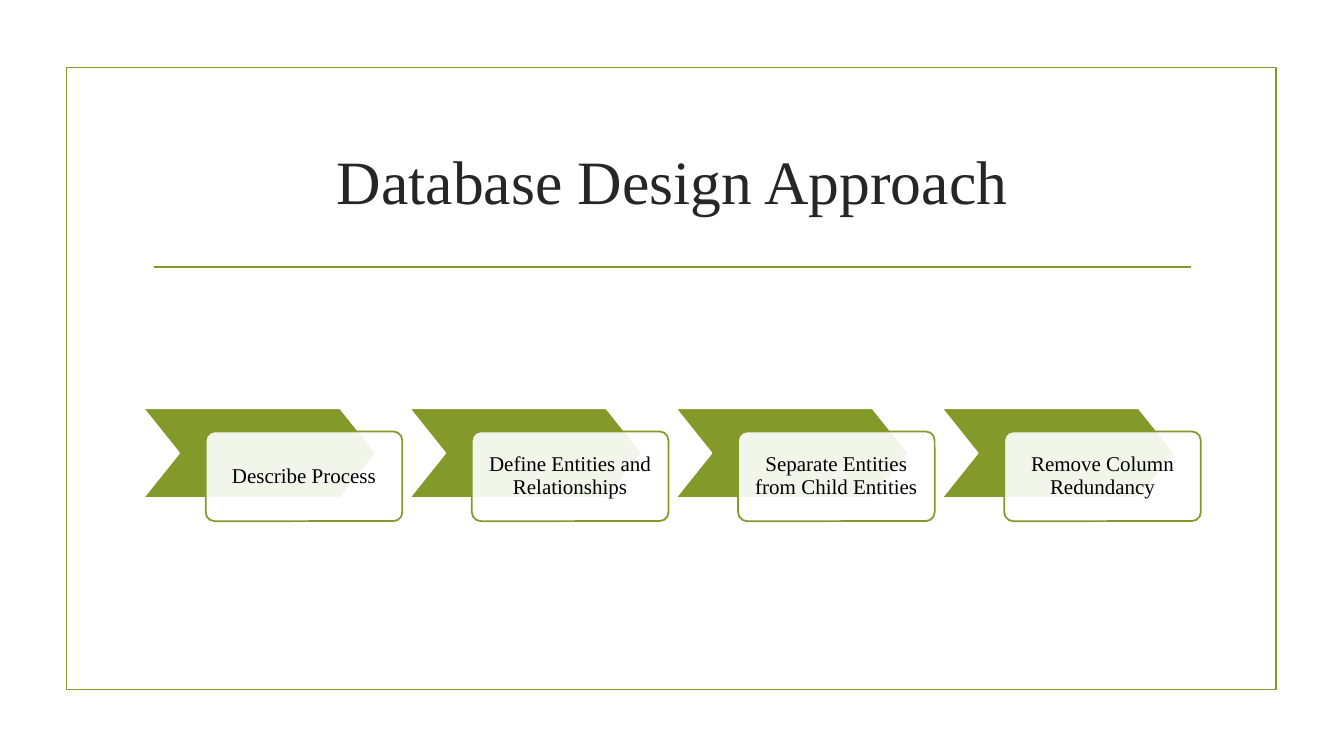
from lxml import etree
from pptx import Presentation
from pptx import util as u
from pptx.dml.color import RGBColor
from pptx.enum import shapes, text
from pptx.oxml.ns import qn

TITLE = "Database Design Approach"
STEPS = [
    "Describe Process",
    "Define Entities and Relationships",
    "Separate Entities from Child Entities",
    "Remove Column Redundancy",
]
THEME = {
    "font": "Times New Roman",
    "green": RGBColor.from_string("83992A"),
    "white": RGBColor.from_string("FFFFFF"),
    "title_color": RGBColor.from_string("262626"),
    "step_color": RGBColor.from_string("000000"),
    "title_size": 44,
    "step_size": 15,
    "line_width": 1.25,
    "card_opacity": 90,
}
FRAME = (0.66, 0.67, 12, 6.17)
RULE = (1.53, 2.65, 11.81, 2.65)
TITLE_BOX = (1.42, 1.07, 10.5, 1.43)
STEP_LEFT, STEP_TOP, STEP_PITCH = 1.42, 4.05, 2.64
CHEVRON_WIDTH, CARD_WIDTH, STEP_HEIGHT = 2.31, 1.95, 0.89
CARD_SHIFT_X, CARD_SHIFT_Y = 0.62, 0.23
CARD_INSET = 0.12


def inches(values):
    return [u.Inches(value) for value in values]


def style_line(line, color):
    line.color.rgb = color
    line.width = u.Pt(THEME["line_width"])


def add_outlined(slide, kind, box, line_color, fill_color=None, adjustment=None):
    shape = slide.shapes.add_shape(kind, *inches(box))
    shape.shadow.inherit = False
    if fill_color is None:
        shape.fill.background()
    else:
        shape.fill.solid()
        shape.fill.fore_color.rgb = fill_color
    style_line(shape.line, line_color)
    if adjustment is not None:
        shape.adjustments[0] = adjustment
    return shape


def set_opacity(shape, percent):
    color = shape.fill._xPr.find(qn("a:solidFill"))[0]
    etree.SubElement(color, qn("a:alpha")).set("val", str(percent * 1000))


def write_text(shape, words, size, color):
    frame = shape.text_frame
    frame.word_wrap = True
    frame.vertical_anchor = text.MSO_ANCHOR.MIDDLE
    frame.text = words
    paragraph = frame.paragraphs[0]
    paragraph.alignment = text.PP_ALIGN.CENTER
    font = paragraph.runs[0].font
    font.name, font.size, font.color.rgb = THEME["font"], u.Pt(size), color
    return frame


def add_rule(slide):
    rule = slide.shapes.add_connector(shapes.MSO_CONNECTOR.STRAIGHT, *inches(RULE))
    style_line(rule.line, THEME["green"])
    etree.SubElement(rule._element.spPr, qn("a:effectLst"))


def add_step(slide, index, label):
    left = STEP_LEFT + index * STEP_PITCH
    add_outlined(
        slide, shapes.MSO_SHAPE.CHEVRON,
        (left, STEP_TOP, CHEVRON_WIDTH, STEP_HEIGHT),
        THEME["white"], THEME["green"], 0.4,
    )
    card = add_outlined(
        slide, shapes.MSO_SHAPE.ROUNDED_RECTANGLE,
        (left + CARD_SHIFT_X, STEP_TOP + CARD_SHIFT_Y, CARD_WIDTH, STEP_HEIGHT),
        THEME["green"], THEME["white"], 0.1,
    )
    set_opacity(card, THEME["card_opacity"])
    frame = write_text(card, label, THEME["step_size"], THEME["step_color"])
    frame.margin_left = frame.margin_right = u.Inches(CARD_INSET)
    frame.margin_top = frame.margin_bottom = u.Inches(CARD_INSET)
    frame.paragraphs[0].line_spacing = 0.9


def main():
    presentation = Presentation()
    presentation.slide_width = u.Inches(13.33)
    presentation.slide_height = u.Inches(7.5)
    slide = presentation.slides.add_slide(presentation.slide_layouts[6])
    add_outlined(slide, shapes.MSO_SHAPE.RECTANGLE, FRAME, THEME["green"])
    add_rule(slide)
    title = slide.shapes.add_textbox(*inches(TITLE_BOX))
    write_text(title, TITLE, THEME["title_size"], THEME["title_color"])
    for index, label in enumerate(STEPS):
        add_step(slide, index, label)
    presentation.save("out.pptx")


if __name__ == "__main__":
    main()
